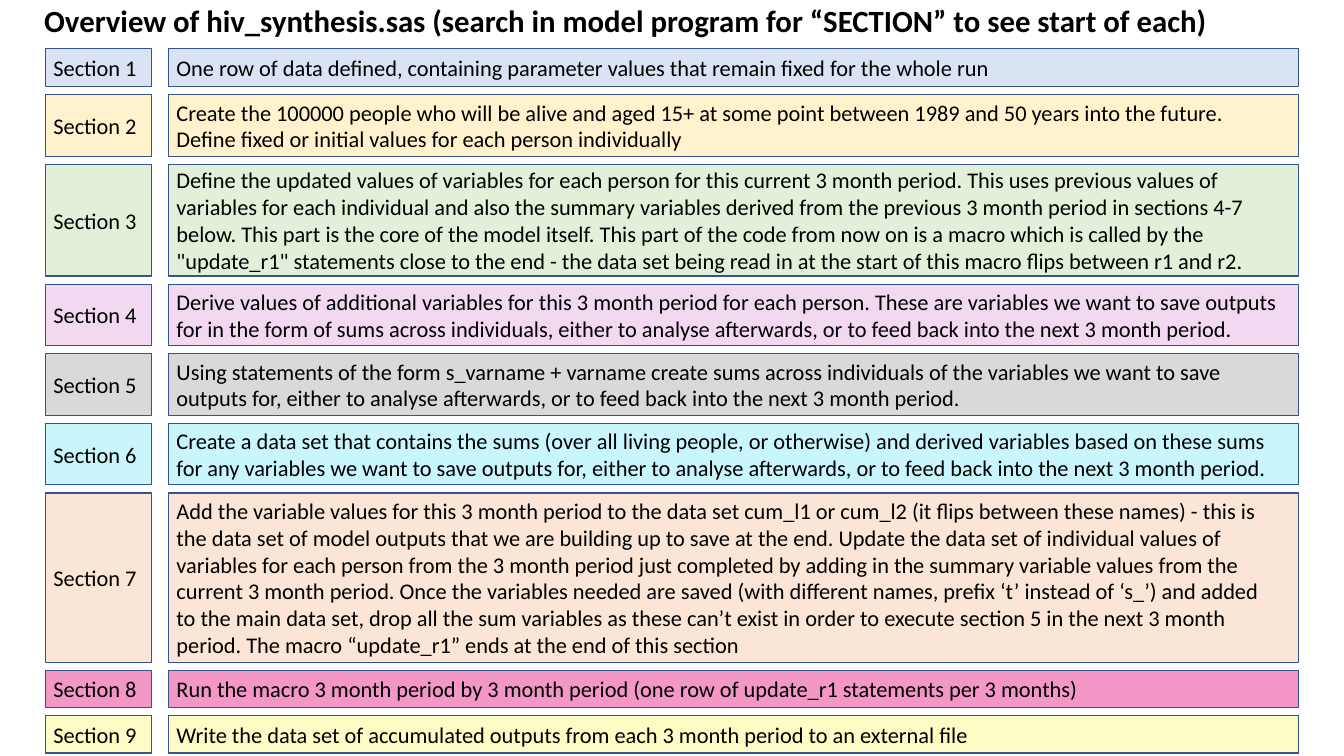
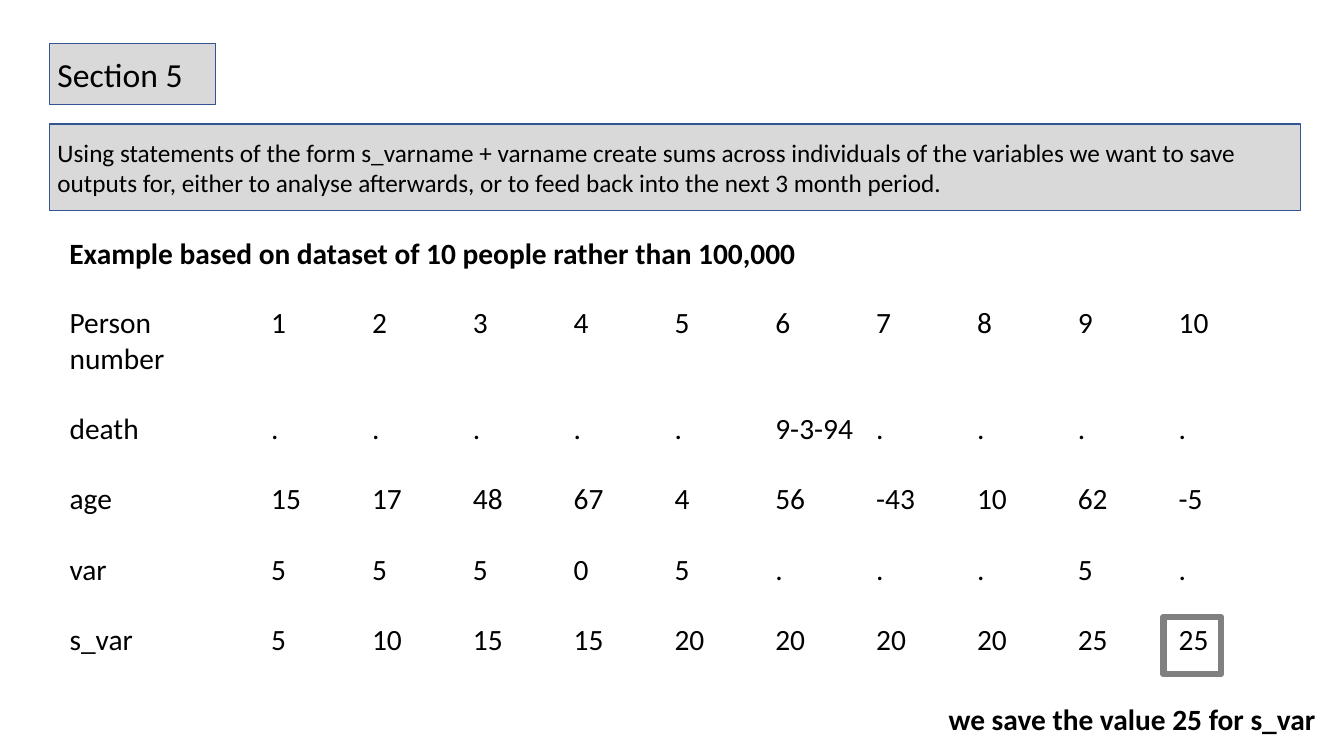
from pptx import Presentation
from pptx.dml.color import RGBColor
from pptx.enum.shapes import MSO_SHAPE as Shape
from pptx.enum.text import MSO_ANCHOR as Anchor
from pptx.util import Inches, Pt

WIDTH, HEIGHT = 13.33, 7.5
BLACK, OUTLINE, GREY = "000000", "325491", "D9D9D9"
BODY = {"name": "Calibri", "size": Pt(16), "bold": False}
TITLE = {**BODY, "size": Pt(22), "bold": True}
EXAMPLE = {**BODY, "size": Pt(21)}
EXAMPLE_BOLD = {**EXAMPLE, "bold": True}
PADDING = {"margin_left": 0.08, "margin_right": 0.08,
           "margin_top": 0.04, "margin_bottom": 0.04}

SUMS_TEXT = ("Using statements of the form s_varname + varname create sums across "
             "individuals of the variables we want to save outputs for, either to "
             "analyse afterwards, or to feed back into the next 3 month period.")

# Height, fill and text of each section
SECTIONS = [
    (0.38, "DAE3F3", "One row of data defined, containing parameter values that remain "
                     "fixed for the whole run"),
    (0.61, "FFF2CC", "Create the 100000 people who will be alive and aged 15+ at some point "
                     "between 1989 and 50 years into the future.\vDefine fixed or initial "
                     "values for each person individually"),
    (1.11, "E2F0D9", "Define the updated values of variables for each person for this current "
                     "3 month period. This uses previous values of variables for each "
                     "individual and also the summary variables derived from the previous "
                     "3 month period in sections 4-7 below. This part is the core of the "
                     "model itself. This part of the code from now on is a macro which is "
                     "called by the \"update_r1\" statements close to the end - the data set "
                     "being read in at the start of this macro flips between r1 and r2."),
    (0.61, "F2D8F1", "Derive values of additional variables for this 3 month period for each "
                     "person. These are variables we want to save outputs for in the form of "
                     "sums across individuals, either to analyse afterwards, or to feed back "
                     "into the next 3 month period."),
    (0.61, GREY, SUMS_TEXT),
    (0.61, "C8F6FC", "Create a data set that contains the sums (over all living people, or "
                     "otherwise) and derived variables based on these sums for any variables "
                     "we want to save outputs for, either to analyse afterwards, or to feed "
                     "back into the next 3 month period."),
    (1.68, "FBE5D6", "Add the variable values for this 3 month period to the data set cum_l1 "
                     "or cum_l2 (it flips between these names) - this is the data set of "
                     "model outputs that we are building up to save at the end. Update the "
                     "data set of individual values of variables for each person from the "
                     "3 month period just completed by adding in the summary variable values "
                     "from the current 3 month period. Once the variables needed are saved "
                     "(with different names, prefix ‘t’ instead of ‘s_’) and added\vto the "
                     "main data set, drop all the sum variables as these can’t exist in "
                     "order to execute section 5 in the next 3 month period. The macro "
                     "“update_r1” ends at the end of this section"),
    (0.37, "F397C7", "Run the macro 3 month period by 3 month period (one row of update_r1 "
                     "statements per 3 months)"),
    (0.37, "FDFCC4", "Write the data set of accumulated outputs from each 3 month period to "
                     "an external file"),
]

PEOPLE = [
    ("Person\vnumber", range(1, 11)),
    ("death", [*"....."] + ["9-3-94"] + [*"...."]),
    ("age", [15, 17, 48, 67, 4, 56, -43, 10, 62, -5]),
    ("var", [5, 5, 5, 0, 5, ".", ".", ".", 5, "."]),
    ("s_var", [5, 10, 15, 15, 20, 20, 20, 20, 25, 25]),
]


def color(value):
    return RGBColor.from_string(value)


def inches(box):
    return [Inches(length) for length in box]


def write(frame, text, style):
    """Put styled black text into a text frame."""
    frame.text = text
    for para in frame.paragraphs:
        for span in para.runs:
            for key, value in style.items():
                setattr(span.font, key, value)
            span.font.color.rgb = color(BLACK)


def add_label(page, box, text, style, wrap=False):
    frame = page.shapes.add_textbox(*inches(box)).text_frame
    frame.word_wrap = wrap
    write(frame, text, style)


def add_rectangle(page, box, fill, line, weight):
    rectangle = page.shapes.add_shape(Shape.RECTANGLE, *inches(box))
    rectangle.shadow.inherit = False
    if fill:
        rectangle.fill.solid()
        rectangle.fill.fore_color.rgb = color(fill)
    else:
        rectangle.fill.background()
    rectangle.line.color.rgb = color(line)
    rectangle.line.width = Pt(weight)
    return rectangle


def add_panel(page, box, fill, text, size=16):
    """Filled and outlined box with left-aligned text."""
    frame = add_rectangle(page, box, fill, OUTLINE, 1).text_frame
    for side, margin in PADDING.items():
        setattr(frame, side, Inches(margin))
    frame.word_wrap = True
    frame.vertical_anchor = Anchor.MIDDLE
    write(frame, text, {**BODY, "size": Pt(size)})
    for para in frame.paragraphs:
        para.alignment = 1


def add_section_rows(page, box, gap=0.08, tag_width=1.05, gutter=0.17):
    """Stack of section tags, each beside its description."""
    left, top, width = box
    indent = tag_width + gutter
    for number, (height, fill, text) in enumerate(SECTIONS, 1):
        add_panel(page, (left + indent, top, width - indent, height), fill, text)
        add_panel(page, (left, top, tag_width, height), fill, f"Section {number}")
        top += height + gap


def add_people_table(page, box, line_height=0.35):
    """Plain table: label column two units wide, one unit for each person."""
    left, top, width = box
    unit = width / 12
    heights = [line_height * lines for lines in (3, 2, 2, 2, 1)]
    table = page.shapes.add_table(
        len(PEOPLE), 11, *inches((left, top, width, sum(heights)))).table
    table.first_row = table.horz_banding = False
    for index, column in enumerate(table.columns):
        column.width = Inches(unit if index else 2 * unit)
    for row, height, (label, values) in zip(table.rows, heights, PEOPLE):
        row.height = Inches(height)
        for cell, value in zip(row.cells, [label, *values]):
            cell.fill.background()
            for side in PADDING:
                setattr(cell, side, 0)
            write(cell.text_frame, str(value), EXAMPLE)

    # Frame around the last total
    side = 0.57
    add_rectangle(page, (left + width - unit - 0.15,
                         top + sum(heights) - line_height - 0.06, side, side),
                  None, "808080", 4.5)


def build_overview(page):
    add_section_rows(page, (0.45, 0.48, 12.43))
    add_label(page, (0.34, -0.03, 11.78, 0.47),
              "Overview of hiv_synthesis.sas (search in model program for “SECTION” "
              "to see start of each)", TITLE)


def build_example(page):
    # Section heading
    left = 0.49
    add_panel(page, (left, 1.23, WIDTH - 0.92, 0.86), GREY, SUMS_TEXT, 18)
    add_panel(page, (left, 0.43, 1.65, 0.61), GREY, "Section 5", 24)

    # Worked example
    add_label(page, (left + 0.1, 2.28, 12, 0.45),
              "Example based on dataset of 10 people rather than 100,000",
              EXAMPLE_BOLD, wrap=True)
    add_people_table(page, (left + 0.2, 3.03, 12))
    add_label(page, (9.31, 6.91, 3.88, 0.45), "we save the value 25 for s_var", EXAMPLE_BOLD)


def main():
    deck = Presentation()
    deck.slide_width, deck.slide_height = inches((WIDTH, HEIGHT))
    for build in (build_overview, build_example):
        build(deck.slides.add_slide(deck.slide_layouts[6]))
    deck.save("out.pptx")


if __name__ == "__main__":
    main()
